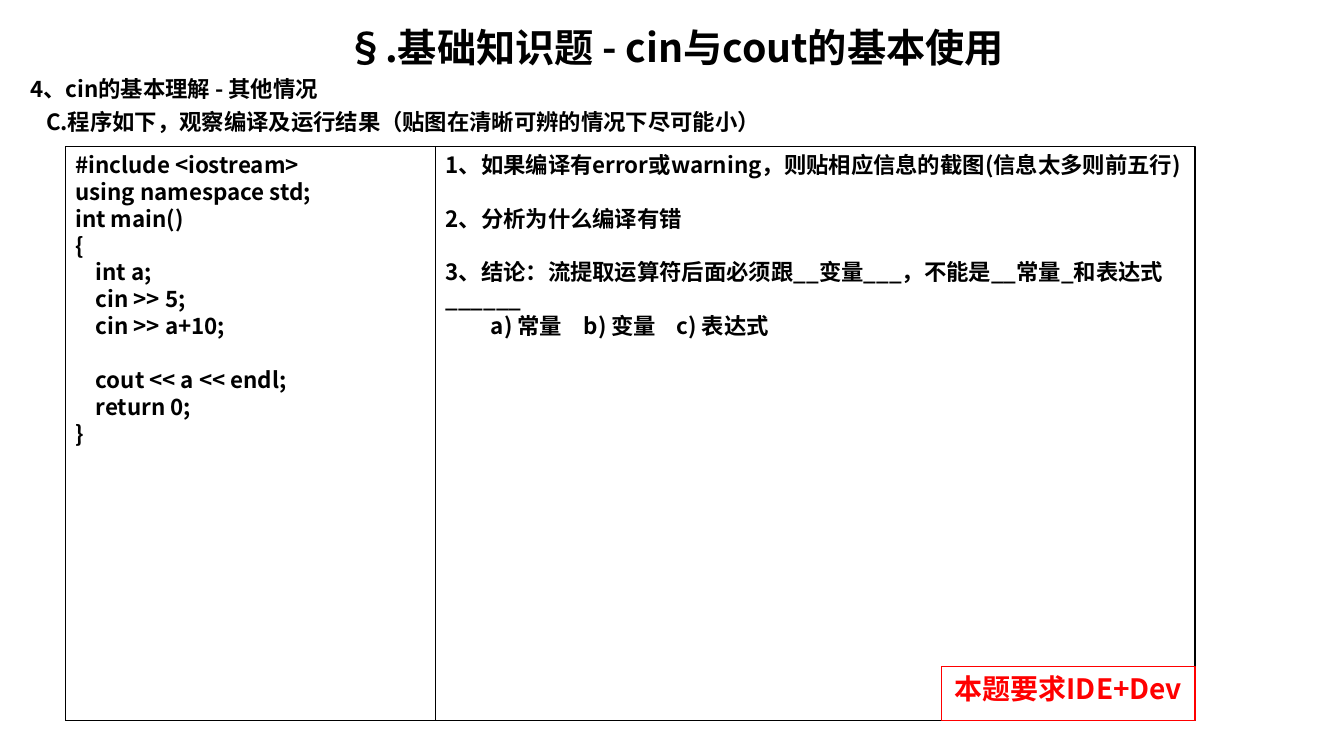
import dataclasses

import pptx
import pptx.dml.color
import pptx.enum.shapes
import pptx.enum.text
import pptx.oxml
import pptx.oxml.ns
import pptx.util

Pt = pptx.util.Pt
ALIGN = pptx.enum.text.PP_ALIGN


@dataclasses.dataclass(frozen=True)
class Theme:
    """Colours, type sizes and line measures of the slide."""
    font: str = "Noto Sans CJK SC"
    ink: str = "000000"
    alert: str = "FF0000"
    title: float = 28
    body: float = 16
    badge: float = 20
    border: float = 0.75
    leading: float = 1.2
    gap: float = 0.24


THEME = Theme()
BLANK_LINE = THEME.body * THEME.leading

CODE = """#include <iostream>
using namespace std;
int main()
{
    int a;
    cin >> 5;
    cin >> a+10;

    cout << a << endl;
    return 0;
}"""

QUESTIONS = [
    "1、如果编译有error或warning，则贴相应信息的截图(信息太多则前五行)",
    "2、分析为什么编译有错",
    "3、结论：流提取运算符后面必须跟__变量___，不能是__常量_和表达式______",
]
CHOICES = ["a) 常量", "b) 变量", "c) 表达式"]
CHOICE_START, CHOICE_STEP = 32.4, 66.3


def add_para(frame, text, size=THEME.body, color=THEME.ink, align=ALIGN.LEFT,
             before=0, indent=0, tabs=()):
    """Append one bold paragraph to a text frame, reusing the empty first one."""
    first = frame.paragraphs[0]
    para = first if not first.runs else frame.add_paragraph()
    span = para.add_run()
    span.text = text
    para.alignment = align
    para.line_spacing = Pt(size * THEME.leading)
    para.space_before = Pt(before)
    properties = para._p.get_or_add_pPr()
    if indent:
        properties.set("marL", str(Pt(indent)))
    if tabs:
        stops = pptx.oxml.parse_xml(
            f'<a:tabLst {pptx.oxml.ns.nsdecls("a")}>'
            + "".join(f'<a:tab pos="{Pt(stop)}" algn="l"/>' for stop in tabs)
            + "</a:tabLst>")
        properties.append(stops)
    for font in (para.font, span.font):
        font.name = THEME.font
        east_asian = pptx.oxml.parse_xml(
            f'<a:ea {pptx.oxml.ns.nsdecls("a")} typeface="{THEME.font}"/>')
        font._element.find(pptx.oxml.ns.qn("a:latin")).addnext(east_asian)
    para.font.size = span.font.size = Pt(size)
    para.font.bold = span.font.bold = True
    span.font.color.rgb = pptx.dml.color.RGBColor.from_string(color)


def add_panel(page, box, color=THEME.ink):
    """Draw an unfilled bordered rectangle and return its text frame."""
    panel = page.shapes.add_shape(
        pptx.enum.shapes.MSO_SHAPE.RECTANGLE, *map(Pt, box))
    panel.shadow.inherit = False
    panel.fill.background()
    panel.line.color.rgb = pptx.dml.color.RGBColor.from_string(color)
    panel.line.width = Pt(THEME.border)
    frame = panel.text_frame
    frame.word_wrap = True
    frame.vertical_anchor = pptx.enum.text.MSO_ANCHOR.TOP
    return frame


def add_heading(page, box):
    """Write the slide title and the two lines introducing the exercise."""
    frame = page.shapes.add_textbox(*map(Pt, box)).text_frame
    frame.word_wrap = True
    before = THEME.body * THEME.gap
    add_para(frame, "§.基础知识题 - cin与cout的基本使用", THEME.title, align=ALIGN.CENTER)
    add_para(frame, "4、cin的基本理解 - 其他情况", before=before)
    add_para(frame, "C.程序如下，观察编译及运行结果（贴图在清晰可辨的情况下尽可能小）",
             before=before, indent=11.4)


def add_code(page, box):
    """Show the program, turning its blank lines into paragraph spacing."""
    frame = add_panel(page, box)
    before = 0
    for line in CODE.splitlines():
        if line:
            add_para(frame, line, before=before)
            before = 0
        else:
            before = BLANK_LINE


def add_questions(page, box):
    """List the questions and the row of choices below them."""
    frame = add_panel(page, box)
    for number, question in enumerate(QUESTIONS):
        add_para(frame, question, before=BLANK_LINE if number else 0)
    stops = [CHOICE_START + CHOICE_STEP * place for place in range(len(CHOICES))]
    add_para(frame, "".join("\t" + choice for choice in CHOICES), tabs=stops)


def add_badge(page, box):
    """Place the red note on the required compilers."""
    frame = add_panel(page, box, THEME.alert)
    frame.word_wrap = False
    add_para(frame, "本题要求IDE+Dev", THEME.badge, THEME.alert, ALIGN.CENTER)


def add_exercise(page, box, code_width=264.4, badge_size=(181, 38.9)):
    """Lay out the framed code, questions and badge in the given box."""
    left, top, width, height = box
    badge_width, badge_height = badge_size
    add_panel(page, box)
    add_code(page, (left, top, code_width, height))
    add_questions(page, (left + code_width, top, width - code_width, height))
    add_badge(page, (left + width - badge_width, top + height - badge_height,
                     badge_width, badge_height))


def main():
    """Build and save the slide."""
    deck = pptx.Presentation()
    deck.slide_width, deck.slide_height = Pt(960), Pt(540)
    page = deck.slides.add_slide(deck.slide_layouts[6])
    add_heading(page, (14.4, 13, 935.3, 510.5))
    add_exercise(page, (46.8, 104.4, 806.8, 410.4))
    deck.save("out.pptx")


if __name__ == "__main__":
    main()
